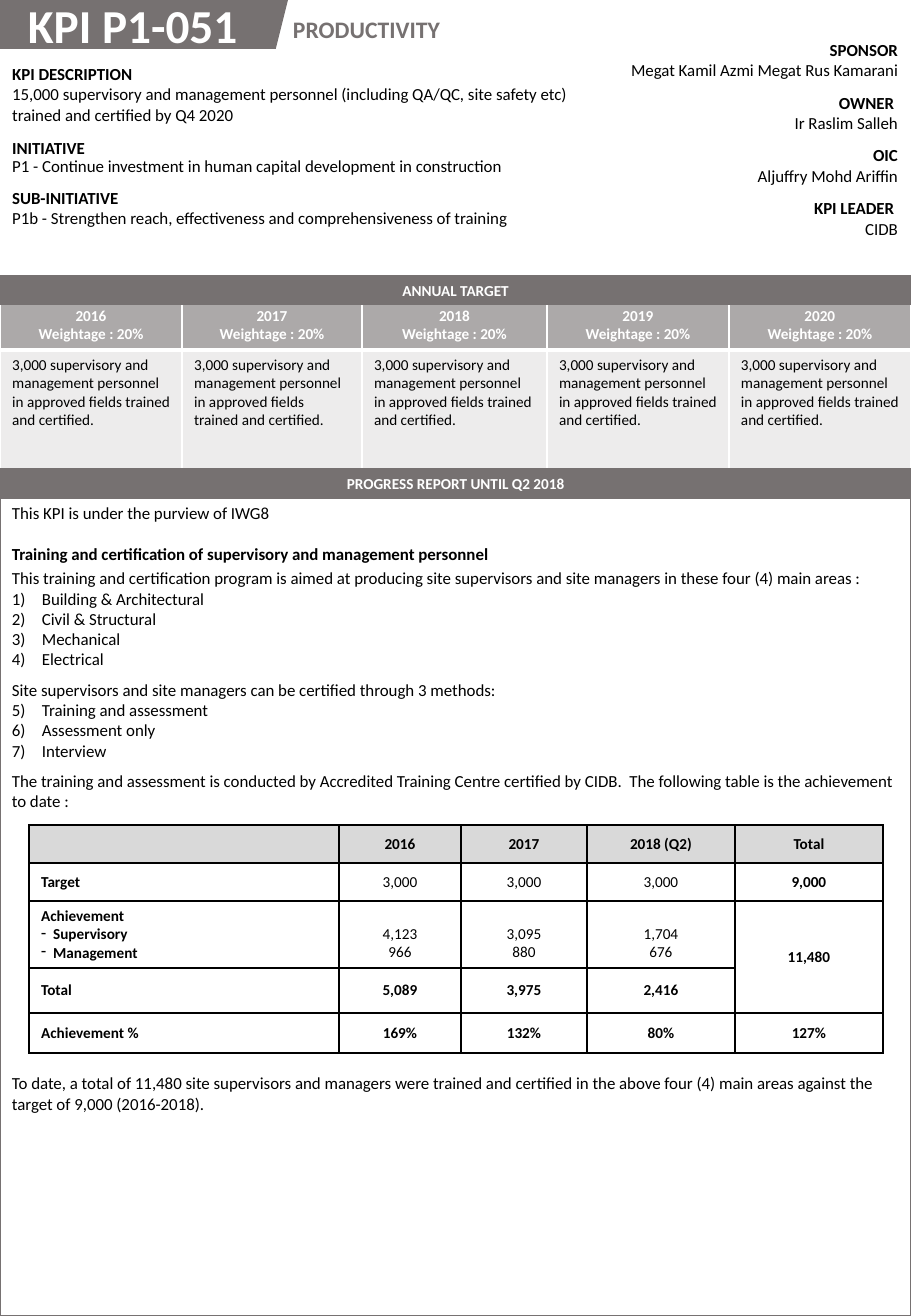
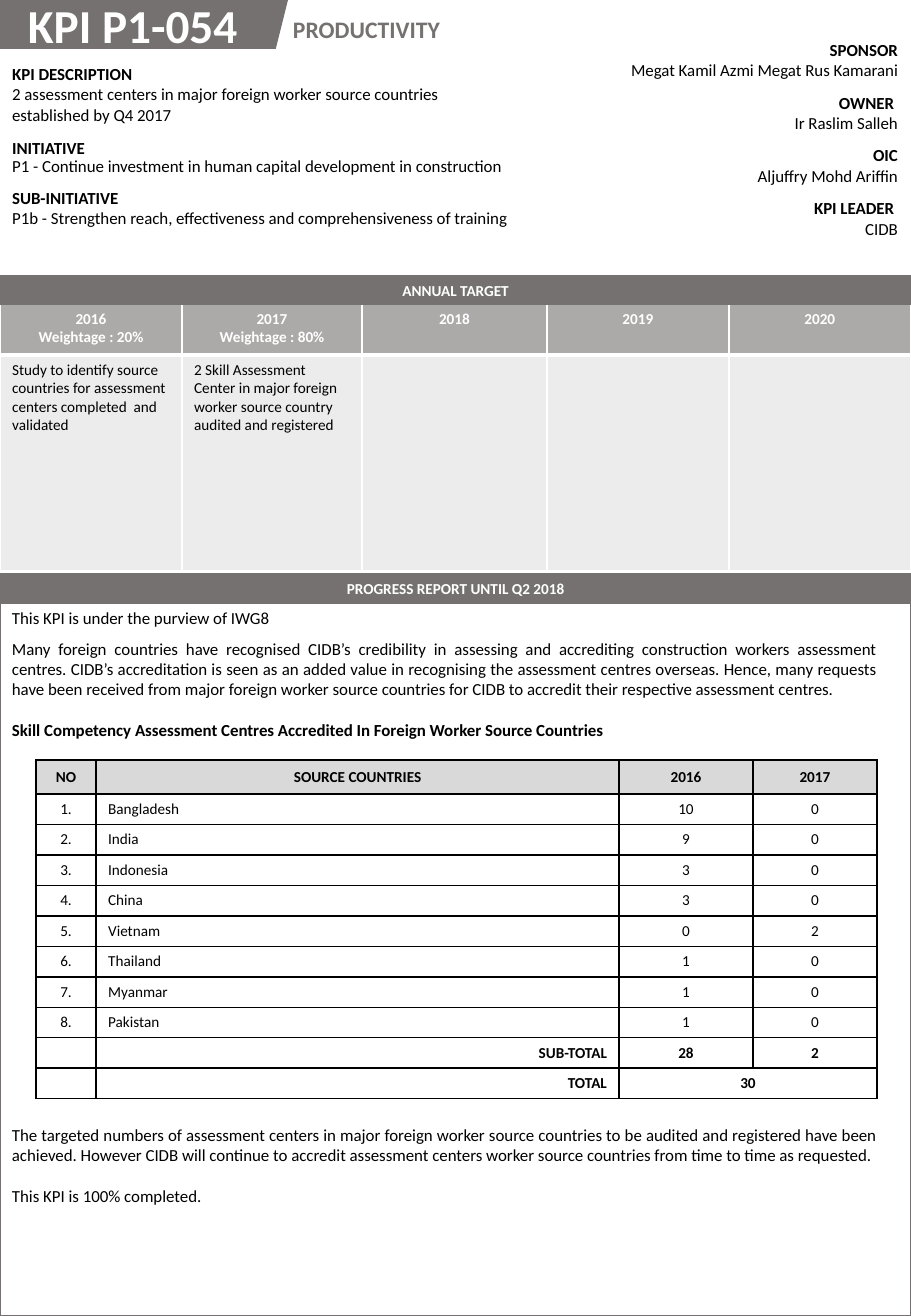
from dataclasses import dataclass
from itertools import product

from lxml import etree
from pptx import Presentation
from pptx.dml.color import RGBColor
from pptx.enum.shapes import MSO_SHAPE as Preset
from pptx.enum.text import MSO_ANCHOR as Anchor, MSO_AUTO_SIZE as AutoSize, PP_ALIGN as Align
from pptx.oxml.ns import qn
from pptx.util import Pt

SCALE = 914400 / 121.5
WIDTH, HEIGHT = 911, 1316
FONT = "Calibri"
COLORS = {"brand": "767171", "header": "D9D9D9", "ink": "000000", "paper": "FFFFFF"}
BAR_HEIGHT = 30
BODY, SMALL = 10, 9
BLANK, HALF = 12, 6
YEARS = ["2016", "2017", "2018", "2019", "2020"]


@dataclass
class Line:
    """One paragraph; gap is the space before it in points."""
    text: str
    bold: bool = False
    gap: float = 0
    align: Align = Align.LEFT
    bullet: str = ""
    indent: int = 0
    spacing: float = 1


def px(*lengths):
    """Turn pixels into EMU."""
    return [round(length * SCALE) for length in lengths]


def rgb(name):
    """Look up a named colour."""
    return RGBColor.from_string(COLORS[name])


def write(frame, lines, size, color="ink"):
    """Fill a text frame with formatted paragraphs."""
    frame.text = "\n".join(line.text for line in lines)
    for paragraph, line in zip(frame.paragraphs, lines):
        paragraph.alignment = line.align
        paragraph.space_before = Pt(line.gap)
        paragraph.line_spacing = line.spacing
        for run in paragraph.runs:
            font = run.font
            font.name, font.size, font.bold = FONT, Pt(size), line.bold
            font.color.rgb = rgb(color)
        if not line.text:
            etree.SubElement(paragraph._p, qn("a:endParaRPr"), sz=str(size * 100))
        if line.bullet:
            add_bullet(paragraph, line)


def add_bullet(paragraph, line):
    """Give a paragraph a hanging number or dash."""
    properties = paragraph._p.get_or_add_pPr()
    indent, = px(line.indent)
    properties.set("marL", str(indent))
    properties.set("indent", str(-indent))
    if line.bullet == "1)":
        etree.SubElement(properties, qn("a:buAutoNum"), type="arabicParenR")
    else:
        etree.SubElement(properties, qn("a:buChar"), char=line.bullet)


def add_text(slide, box, lines, size=BODY, color="ink", wrap=True):
    """Place a text box."""
    frame = slide.shapes.add_textbox(*px(*box)).text_frame
    frame.word_wrap = wrap
    frame.auto_size = AutoSize.SHAPE_TO_FIT_TEXT
    write(frame, lines, size, color)


def add_panel(slide, preset, box, fill=None, outline=None):
    """Place a flat preset shape."""
    shape = slide.shapes.add_shape(preset, *px(*box))
    shape.shadow.inherit = False
    if fill:
        shape.fill.solid()
        shape.fill.fore_color.rgb = rgb(fill)
    else:
        shape.fill.background()
    if outline:
        shape.line.color.rgb = rgb(outline)
        shape.line.width = Pt(1.5)
    else:
        shape.line.fill.background()
    return shape


def add_bar(slide, top, text):
    """Place a full-width section heading."""
    bar = add_panel(slide, Preset.RECTANGLE, (0, top, WIDTH, BAR_HEIGHT), fill="brand")
    bar.text_frame.vertical_anchor = Anchor.MIDDLE
    write(bar.text_frame, [Line(text, True, align=Align.CENTER)], SMALL, "paper")


def add_grid(slide, left, top, widths, heights):
    """Place an unstyled table with the given columns and rows."""
    box = px(left, top, sum(widths), sum(heights))
    table = slide.shapes.add_table(len(heights), len(widths), *box).table
    table.first_row = table.horz_banding = False
    for column, width in zip(table.columns, px(*widths)):
        column.width = width
    for row, height in zip(table.rows, px(*heights)):
        row.height = height
    for cell in table.iter_cells():
        cell.fill.background()
    return table


def set_borders(cell, color, bottom=1):
    """Draw the four borders of a cell, in front of its fill in the XML."""
    properties = cell._tc.get_or_add_tcPr()
    for index, side in enumerate("LRTB"):
        points = bottom if side == "B" else 1
        border = etree.Element(qn(f"a:ln{side}"), w=str(Pt(points)))
        fill = etree.SubElement(border, qn("a:solidFill"))
        etree.SubElement(fill, qn("a:srgbClr"), val=COLORS[color])
        properties.insert(index, border)


def set_fill(cell, color, percent=100):
    """Fill a cell, see-through below 100 percent."""
    cell.fill.solid()
    cell.fill.fore_color.rgb = rgb(color)
    if percent < 100:
        tint = cell._tc.tcPr.find(f"{qn('a:solidFill')}/{qn('a:srgbClr')}")
        etree.SubElement(tint, qn("a:alpha"), val=str(percent * 1000))


def add_title(slide, code):
    """Place the slanted title band, KPI code and theme."""
    add_panel(slide, Preset.PARALLELOGRAM, (-21, 0, 309, 49), fill="brand")
    add_text(slide, (281, 9, 176, 41), [Line("PRODUCTIVITY", True)], 14, "brand", wrap=False)
    add_text(slide, (16, -10, 272, 69), [Line(f"KPI {code}", True)], 28, "paper")


def add_facts(slide, box, heights, facts, align=Align.LEFT, tight_row=None):
    """Place a one-column list of bold labels and their values."""
    left, top, width = box
    table = add_grid(slide, left, top, [width], heights)
    for row, (label, value) in enumerate(facts):
        spacing = 0.88 if row == tight_row else 1
        lines = [Line(label, True, align=align), Line(value, align=align, spacing=spacing)]
        write(table.cell(row, 0).text_frame, lines, BODY)


def add_header(slide, code, description, description_width):
    """Place the title, the KPI facts and the people in charge."""
    add_title(slide, code)
    add_facts(slide, (614, 34, 296), [53] * 4, [
        ("SPONSOR", "Megat Kamil Azmi Megat Rus Kamarani"),
        ("OWNER ", "Ir Raslim Salleh"),
        ("OIC", "Aljuffry Mohd Ariffin"),
        ("KPI LEADER ", "CIDB"),
    ], Align.RIGHT)
    add_facts(slide, (0, 58, description_width), [74, 50, 53], [
        ("KPI DESCRIPTION", description),
        ("INITIATIVE", "P1 - Continue investment in human capital development in construction"),
        ("SUB-INITIATIVE",
         "P1b - Strengthen reach, effectiveness and comprehensiveness of training "),
    ], tight_row=1)


def add_targets(slide, top, heights, weights, targets):
    """Place the annual target table and its heading."""
    table = add_grid(slide, 0, top, [182, 180, 185, 182, 182], heights)
    for column, (year, weight, target) in enumerate(zip(YEARS, weights, targets)):
        head, body = table.cell(0, column), table.cell(1, column)
        labels = [year, f"Weightage : {weight}%"] if weight else [year]
        write(head.text_frame, [Line(label, True, align=Align.CENTER) for label in labels],
              SMALL, "paper")
        write(body.text_frame, [Line(target)], SMALL)
        set_fill(head, "brand", 60)
        set_fill(body, "brand", 13)
        set_borders(head, "paper", bottom=3)
        set_borders(body, "paper")
    add_bar(slide, 275, "ANNUAL TARGET")


def add_report(slide, top, width, height, lines):
    """Place the progress heading, the frame below it and the report text."""
    below = top + BAR_HEIGHT
    add_panel(slide, Preset.RECTANGLE, (0, below, WIDTH, HEIGHT - below), outline="brand")
    add_text(slide, (0, below - 1, width, height), lines)
    add_bar(slide, top, "PROGRESS REPORT UNTIL Q2 2018")


def add_results(slide, position, widths, heights, rows, is_bold, align_of):
    """Place a bordered results table; lines that open with a dash get bullets."""
    table = add_grid(slide, *position, widths, heights)
    for row, column in product(range(len(heights)), range(len(widths))):
        cell = table.cell(row, column)
        lines = []
        for text in rows[row][column].split("\n"):
            line = Line(text.removeprefix("- "), is_bold(row, column), align=align_of(row, column))
            if text.startswith("- "):
                line.bullet, line.indent = "-", 12
            lines.append(line)
        write(cell.text_frame, lines, SMALL)
        cell.vertical_anchor = Anchor.MIDDLE
        if row == 0:
            set_fill(cell, "header")
        set_borders(cell, "ink")
    return table


def numbered(*items):
    """Make a numbered list."""
    return [Line(item, bullet="1)", indent=30) for item in items]


def build_training(slide):
    """Build the training and certification slide."""
    add_header(slide, "P1-051", "15,000 supervisory and management personnel (including QA/QC, "
               "site safety etc) trained and certified by Q4 2020 ", 605)
    target = ("3,000 supervisory and management personnel in approved fields "
              "trained and certified.")
    add_targets(slide, 301, [49, 126], [20] * 5, [target] * 5)
    add_report(slide, 468, 912, 320, [
        Line("This KPI is under the purview of IWG8"),
        Line("Training and certification of supervisory and management personnel", True, BLANK),
        Line("This training and certification program is aimed at producing site supervisors "
             "and site managers in these four (4) main areas :", gap=2.5),
        *numbered("Building & Architectural", "Civil & Structural", "Mechanical", "Electrical"),
        Line("Site supervisors and site managers can be certified through 3 methods:", gap=HALF),
        *numbered("Training and assessment", "Assessment only", "Interview"),
        Line("The training and assessment is conducted by Accredited Training Centre certified "
             "by CIDB.  The following table is the achievement to date :", gap=HALF),
    ])
    add_text(slide, (0, 1067, WIDTH, 53), [
        Line("To date, a total of 11,480 site supervisors and managers were trained and certified "
             "in the above four (4) main areas against the target of 9,000 (2016-2018).")])
    table = add_results(
        slide, (29, 825), [310, 122, 126, 148, 148], [38, 38, 67, 45, 40], [
            ["", "2016", "2017", "2018 (Q2)", "Total"],
            ["Target", "3,000", "3,000", "3,000", "9,000"],
            ["Achievement\n- Supervisory\n- Management", "4,123\n966", "3,095\n880",
             "1,704\n676", "11,480"],
            ["Total", "5,089", "3,975", "2,416", ""],
            ["Achievement %", "169%", "132%", "80%", "127%"],
        ],
        is_bold=lambda row, column: row not in (1, 2) or column in (0, 4),
        align_of=lambda row, column: Align.CENTER if column else Align.LEFT)
    for column in range(1, 4):
        table.cell(2, column).vertical_anchor = Anchor.BOTTOM
    table.cell(2, 4).merge(table.cell(3, 4))


def build_centres(slide):
    """Build the foreign assessment centres slide."""
    add_header(slide, "P1-054", "2 assessment centers in major foreign worker source countries "
               "established by Q4 2017", 531)
    add_targets(slide, 304, [51, 216], [20, 80, 0, 0, 0], [
        "Study to identify source countries for assessment centers completed  and validated",
        "2 Skill Assessment Center in major foreign worker source country audited and registered",
        "", "", ""])
    add_report(slide, 573, 888, 635, [
        Line("This KPI is under the purview of IWG8"),
        Line("Many foreign countries have recognised CIDB’s credibility in assessing and "
             "accrediting construction workers assessment centres. CIDB’s accreditation is seen "
             "as an added value in recognising the assessment centres overseas. Hence, many "
             "requests have been received from major foreign worker source countries for CIDB "
             "to accredit their respective assessment centres.", gap=HALF, align=Align.JUSTIFY),
        Line("Skill Competency Assessment Centres Accredited In Foreign Worker Source Countries",
             True, BLANK),
        Line("The targeted numbers of assessment centers in major foreign worker source countries "
             "to be audited and registered have been achieved. However CIDB will continue to "
             "accredit assessment centers worker source countries from time to time as "
             "requested.", gap=19 * BLANK, align=Align.JUSTIFY),
        Line("This KPI is 100% completed.", gap=BLANK),
    ])
    centres = [("Bangladesh", 10, 0), ("India", 9, 0), ("Indonesia", 3, 0), ("China", 3, 0),
               ("Vietnam", 0, 2), ("Thailand", 1, 0), ("Myanmar", 1, 0), ("Pakistan", 1, 0)]
    rows = [["NO", "SOURCE COUNTRIES", "2016", "2017"]]
    rows += [[f"{number}.", country, str(first), str(second)]
             for number, (country, first, second) in enumerate(centres, 1)]
    rows += [["", "SUB-TOTAL", "28", "2"], ["", "TOTAL", "30", ""]]
    totals = len(centres) + 1

    def align_of(row, column):
        """Centre all but the country names and total labels."""
        if column != 1 or row == 0:
            return Align.CENTER
        return Align.LEFT if row < totals else Align.RIGHT

    table = add_results(slide, (36, 760), [60, 523, 134, 124], [34] + [30] * 10, rows,
                        is_bold=lambda row, column: row == 0 or row >= totals, align_of=align_of)
    table.cell(10, 2).merge(table.cell(10, 3))


presentation = Presentation()
presentation.slide_width, presentation.slide_height = px(WIDTH, HEIGHT)
for build in (build_training, build_centres):
    build(presentation.slides.add_slide(presentation.slide_layouts[6]))
presentation.save("out.pptx")
